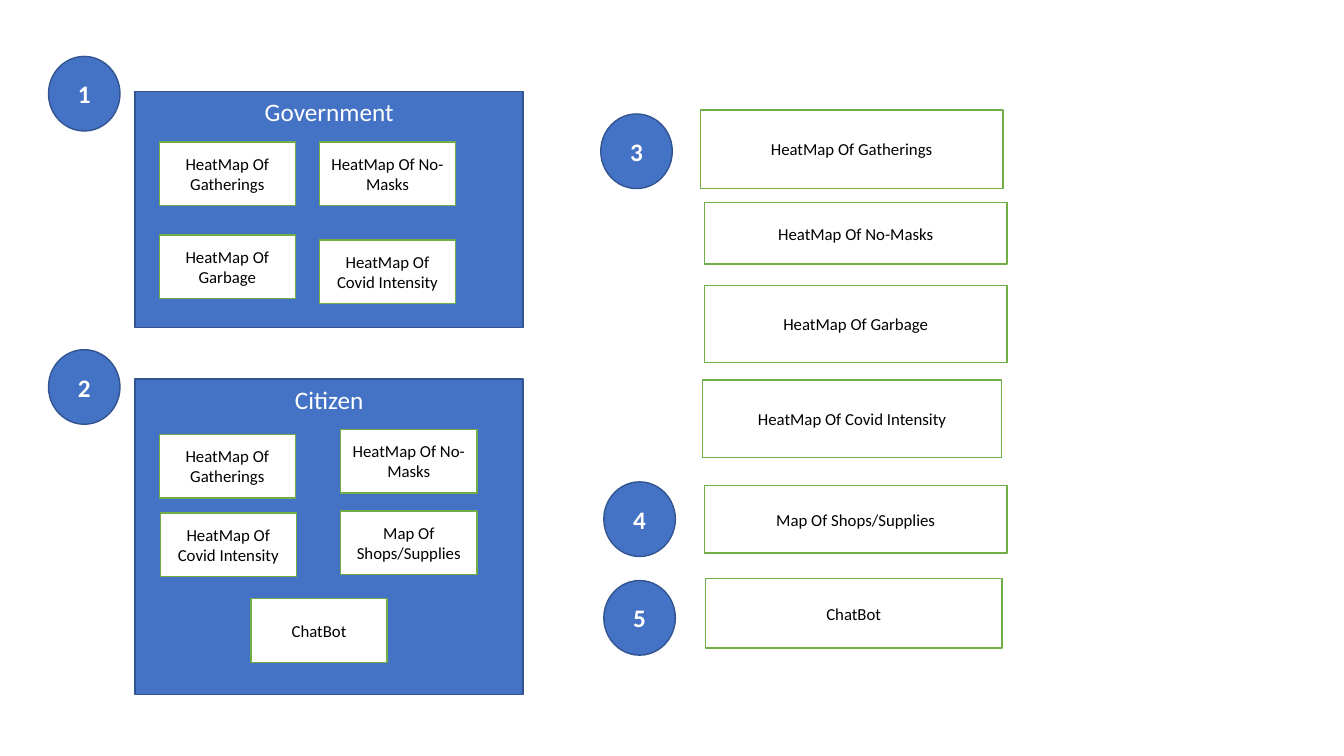
from pptx import Presentation
from pptx.dml.color import RGBColor
from pptx.enum.shapes import MSO_SHAPE as Preset
from pptx.enum.text import MSO_ANCHOR as Anchor, PP_ALIGN as Align
from pptx.util import Pt

COLORS = {"blue": "4472C4", "navy": "325491", "green": "70AD47",
          "white": "FFFFFF", "black": "000000"}
FONT = "Calibri"
CARD_SIZE = (97.2, 45.4)
BADGE_SIZE = (51.1, 53.3)

GATHERINGS = "HeatMap Of Gatherings"
NO_MASKS = "HeatMap Of No-Masks"
GARBAGE = "HeatMap Of Garbage"
COVID = "HeatMap Of Covid Intensity"
SHOPS = "Map Of Shops/Supplies"
CHATBOT = "ChatBot"

# Panels: title, place, and cards with their left and top
PANELS = [
    ("Government", (96.5, 65.5, 277.2, 168.5), [
        (GATHERINGS, 113.8, 101.5), (NO_MASKS, 228.2, 101.5),
        (GARBAGE, 113.8, 167.8), (COVID, 228.2, 171.4)]),
    ("Citizen", (96.5, 270.7, 277.2, 225.4), [
        (GATHERINGS, 113.8, 310.3), (NO_MASKS, 243.4, 306.7),
        (COVID, 114.5, 366.5), (SHOPS, 243.4, 365),
        (CHATBOT, 179.3, 427.7)]),
]

# Feature list: label and place
FEATURES = [
    (GATHERINGS, (500.4, 78.5, 216, 56.2)),
    (NO_MASKS, (503.3, 144.7, 216, 43.9)),
    (GARBAGE, (503.3, 203.8, 216, 55.4)),
    (COVID, (501.8, 271.4, 213.8, 55.4)),
    (SHOPS, (503.3, 347, 216, 48.2)),
    (CHATBOT, (504, 413.3, 211.7, 49.7)),
]

# Left and top of the badges, in number order
BADGES = [(34.6, 40.3), (34.6, 249.8), (429.1, 81.4),
          (431.3, 344.2), (431.3, 414.7)]


def color(name):
    return RGBColor.from_string(COLORS[name])


def add_box(page, preset, place, text, fill, line, ink, size,
            bold=False, anchor=Anchor.MIDDLE):
    box = page.shapes.add_shape(preset, *map(Pt, place))
    box.shadow.inherit = False
    box.fill.solid()
    box.fill.fore_color.rgb = color(fill)
    box.line.color.rgb = color(line)
    box.line.width = Pt(1)
    frame = box.text_frame
    frame.word_wrap = True
    frame.vertical_anchor = anchor
    para = frame.paragraphs[0]
    para.alignment = Align.CENTER
    span = para.add_run()
    span.text = text
    span.font.name = FONT
    span.font.size = Pt(size)
    span.font.bold = bold
    span.font.color.rgb = color(ink)


def add_card(page, text, place):
    add_box(page, Preset.RECTANGLE, place, text, "white", "green", "black", 12)


def add_panel(page, title, place, cards):
    add_box(page, Preset.RECTANGLE, place, title, "blue", "navy", "white", 18,
            anchor=Anchor.TOP)
    for text, left, top in cards:
        add_card(page, text, (left, top, *CARD_SIZE))


def add_badge(page, number, left, top):
    add_box(page, Preset.OVAL, (left, top, *BADGE_SIZE), str(number),
            "blue", "navy", "white", 18, bold=True)


def main():
    deck = Presentation()
    deck.slide_width, deck.slide_height = Pt(960), Pt(540)
    page = deck.slides.add_slide(deck.slide_layouts[6])

    # User panels on the left
    for title, place, cards in PANELS:
        add_panel(page, title, place, cards)

    # Feature list on the right
    for text, place in FEATURES:
        add_card(page, text, place)

    # Numbered badges
    for number, (left, top) in enumerate(BADGES, start=1):
        add_badge(page, number, left, top)

    deck.save("out.pptx")


main()
